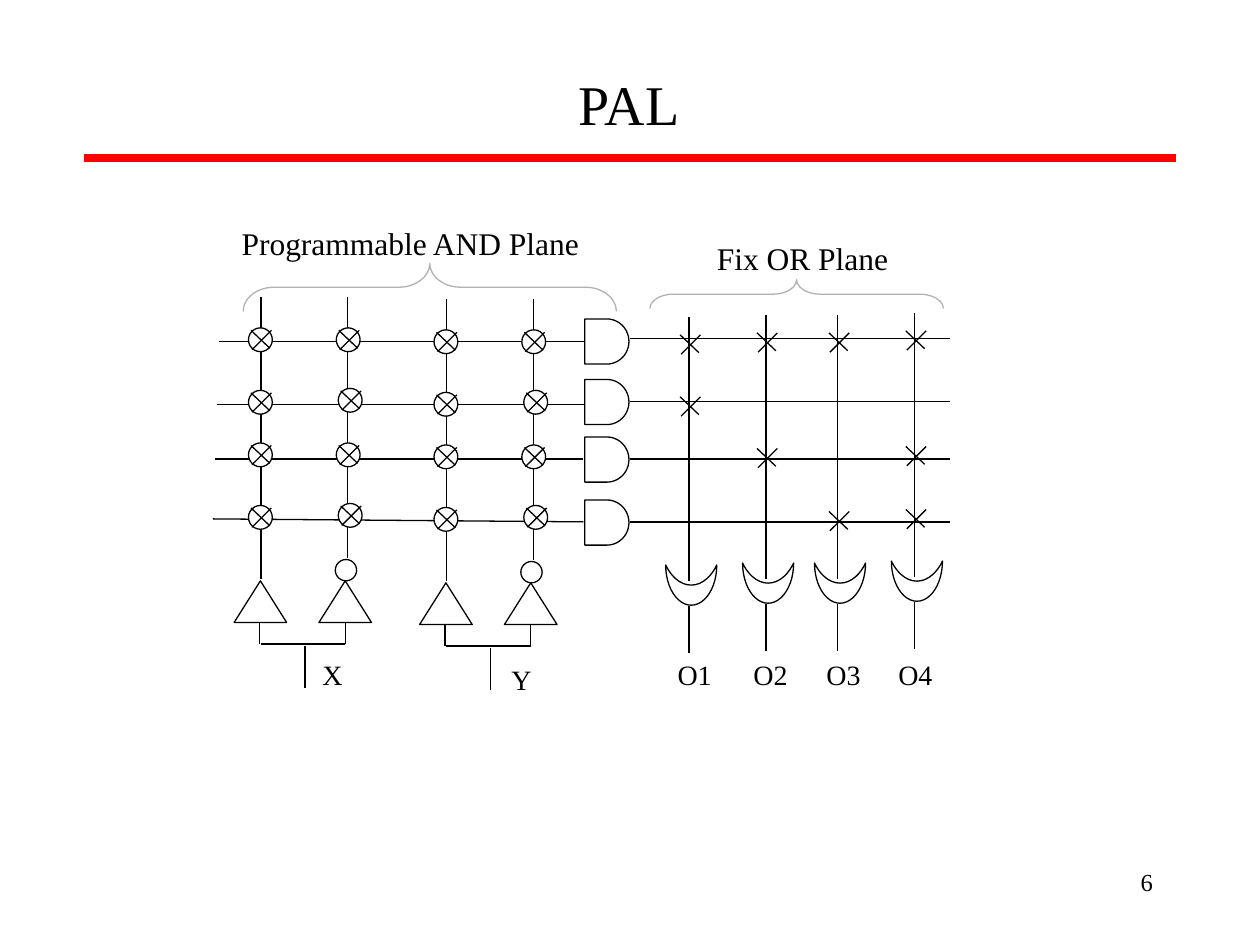
from lxml import etree
from pptx import Presentation
from pptx.dml.color import RGBColor
from pptx.enum import shapes, text
from pptx.oxml import ns
from pptx import util as u

# Content: all lengths are centimetres
COLOURS = {"ink": "000000", "paper": "FFFFFF", "rule": "FF0000", "brace": "B2B2B2"}
FONT = "Times New Roman"
LEFT, CENTRE, RIGHT = text.PP_ALIGN.LEFT, text.PP_ALIGN.CENTER, text.PP_ALIGN.RIGHT

LABELS = [  # words, left, top, width, height, size, alignment, wrap
    ("PAL", 1.47, 1.27, 22.43, 1.63, 32, CENTRE, True),
    ("Programmable AND Plane", 4.62, 4.39, 7.34, 1.02, 18, LEFT, False),
    ("Fix OR Plane", 14.2, 4.7, 3.96, 1.02, 18, LEFT, False),
    ("X", 6.25, 13.13, 0.91, 0.94, 16, LEFT, False),
    ("Y", 10.06, 13.23, 0.91, 0.94, 16, LEFT, False),
    ("6", 18.21, 17.35, 5.28, 1.27, 14, RIGHT, True),
]
BRACES = [  # left, top, width, height before rotation, curve ratio
    (8.18, 2.03, 0.97, 7.52, 0.64),
    (15.77, 2.97, 0.58, 5.92, 0.83),
]
AND_ROWS = [  # input line start, its end, gate top, output line y
    ((4.42, 6.88), (11.81, 6.88), 6.43, 6.83),
    ((4.37, 8.15), (11.81, 8.15), 7.65, 8.1),
    ((4.34, 9.25), (11.76, 9.25), 8.81, 9.25),
    ((4.29, 10.46), (11.76, 10.52), 10.08, 10.52),
]
INPUT_SHIFTS = [(0, 0), (3.74, 0.04)]  # X pair, Y pair
FUSE_ROWS = [6.85, 8.11, 9.17, 10.43]
OR_ROWS = [6.9, 8.15, 9.23, 10.5]
OUTPUTS = [  # name, line x, vertical shift, connected rows, label left
    ("O1", 13.89, 0.04, (0, 1), 13.41),
    ("O2", 15.44, 0, (0, 2), 14.94),
    ("O3", 16.89, 0, (0, 3), 16.41),
    ("O4", 18.44, -0.04, (0, 2, 3), 17.86),
]
FUSE = 0.48
CROSS = [((0.22, -0.19), (-0.17, 0.2)), ((-0.19, -0.19), (0.19, 0.17))]

deck = Presentation()
deck.slide_width, deck.slide_height = u.Cm(25.4), u.Cm(19.05)
page = deck.slides.add_slide(deck.slide_layouts[6])
PRESET = shapes.MSO_SHAPE


def colour(name):
    return RGBColor.from_string(COLOURS[name])


def line(start, end, ink="ink", width=0.75, parent=page):
    ends = [u.Cm(v) for v in (*start, *end)]
    wire = parent.shapes.add_connector(shapes.MSO_CONNECTOR.STRAIGHT, *ends)
    wire.line.color.rgb = colour(ink)
    wire.line.width = u.Pt(width)
    etree.SubElement(wire._element.spPr, ns.qn("a:effectLst"))


def shape(kind, left, top, width, height, ink="ink", fill="paper", turn=0, parent=page):
    part = parent.shapes.add_shape(kind, *[u.Cm(v) for v in (left, top, width, height)])
    part.shadow.inherit = False
    part.rotation = turn
    part.line.color.rgb = colour(ink)
    part.line.width = u.Pt(0.75)
    if fill:
        part.fill.solid()
        part.fill.fore_color.rgb = colour(fill)
    else:
        part.fill.background()
    return part


def label(words, left, top, width, height, size, align, wrap):
    box = page.shapes.add_textbox(*[u.Cm(v) for v in (left, top, width, height)])
    box.text_frame.word_wrap = wrap
    para = box.text_frame.paragraphs[0]
    para.alignment = align
    span = para.add_run()
    span.text = words
    for key, value in {"name": FONT, "size": u.Pt(size)}.items():
        setattr(span.font, key, value)
    span.font.color.rgb = colour("ink")


def cross(x, y, parent=page):
    for (x1, y1), (x2, y2) in CROSS:
        line((x + x1, y + y1), (x + x2, y + y2), parent=parent)


def fuse(x, y):
    group = page.shapes.add_group_shape()
    # A group holds its own shapes, so it is wrapped like a page
    holder = type("Holder", (), {"shapes": group.shapes})
    shape(PRESET.OVAL, x - FUSE / 2, y - FUSE / 2, FUSE, FUSE, parent=holder)
    cross(x, y, holder)


# Title rule
line((1.7, 3.18), (23.7, 3.18), "rule", 4.5)

# Input lines of the AND gates
for start, end, _, _ in AND_ROWS:
    line(start, end)

# Each input: buffer, inverter, wiring and its fuses
for dx, dy in INPUT_SHIFTS:
    for left in (4.72, 6.43):
        shape(PRESET.ISOSCELES_TRIANGLE, left + dx, 11.71 + dy, 1.06, 0.84)
    shape(PRESET.OVAL, 6.76 + dx, 11.28 + dy, 0.43, 0.43)
    wires = [
        ((5.23, 12.55), (5.23, 12.98)), ((6.96, 12.55), (6.96, 12.98)),
        ((5.26, 12.98), (6.96, 12.98)), ((6.15, 13.03), (6.15, 13.87)),
        ((5.26, 11.68), (5.26, 5.99)), ((7.01, 11.25), (7.01, 5.99)),
    ]
    for (x1, y1), (x2, y2) in wires:
        line((x1 + dx, y1 + dy), (x2 + dx, y2 + dy))
    for row, y in enumerate(FUSE_ROWS):
        nudge = 0.04 * (row % 2)
        fuse(5.25 + dx, y + dy)
        fuse(7.02 + nudge + dx, y - nudge + dy)

# AND gates and their outputs
for _, _, top, y in AND_ROWS:
    shape(PRESET.FLOWCHART_DELAY, 11.79, top, 0.89, 0.91)
    line((12.7, y), (19.15, y))

# OR columns: line, gate, output and fixed connections
for name, x, dy, rows, left in OUTPUTS:
    line((x, 6.35 + dy), (x, 11.68 + dy))
    shape(PRESET.MOON, x - 0.36, 11.24 + dy, 0.81, 1.03, turn=270)
    line((x, 12.17 + dy), (x, 13.12 + dy))
    for row in rows:
        cross(x + 0.01, OR_ROWS[row] + dy)
    label(name, left, 13.13, 1.19, 0.94, 16, LEFT, False)

# Braces and remaining labels
for *place, curve in BRACES:
    brace = shape(PRESET.RIGHT_BRACE, *place, ink="brace", fill=None, turn=270)
    brace.adjustments[0] = curve
for entry in LABELS:
    label(*entry)

deck.save("out.pptx")
